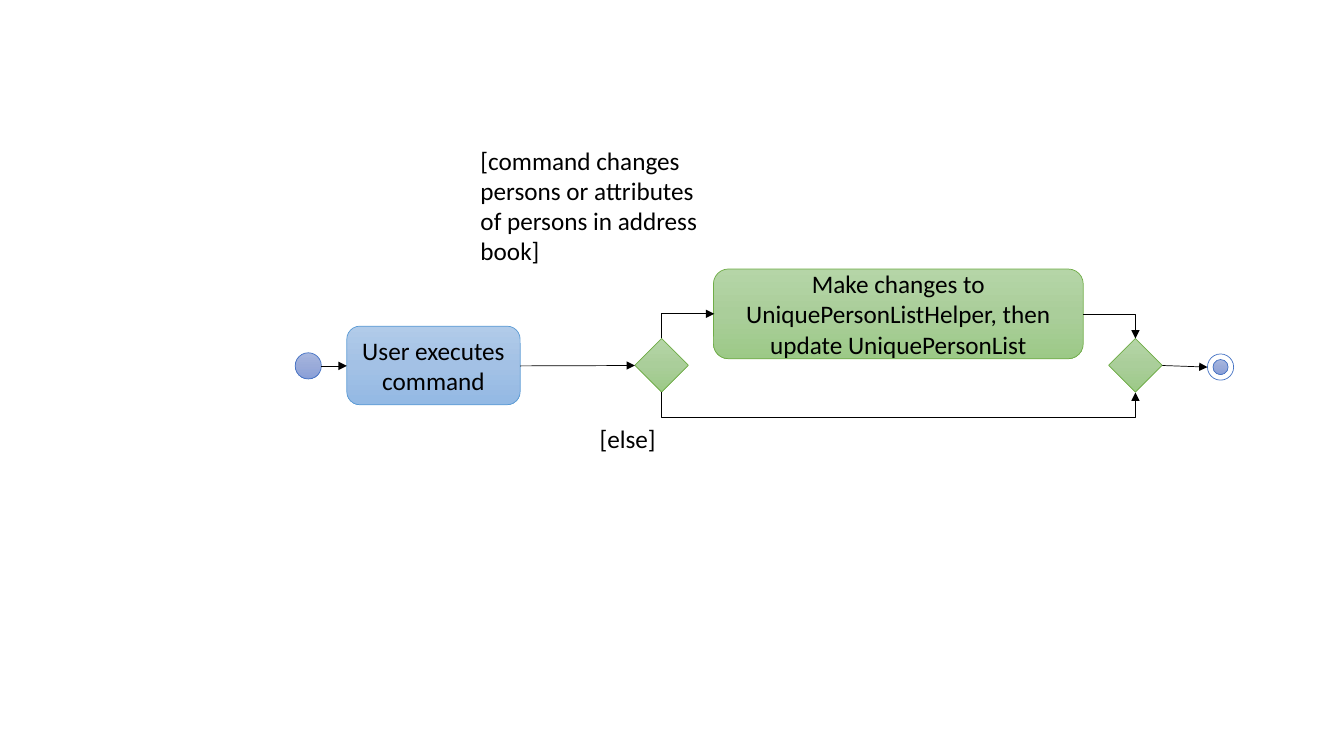
from copy import deepcopy
from dataclasses import dataclass
from typing import Any, NamedTuple, Optional

from lxml.etree import SubElement as Sub
from pptx import Presentation
from pptx.dml.color import RGBColor as RGB
from pptx.enum.shapes import MSO_CONNECTOR as Link, MSO_SHAPE as Form
from pptx.enum.text import MSO_ANCHOR as Anchor, MSO_AUTO_SIZE as Fit, PP_ALIGN as Align
from pptx.oxml.ns import qn
from pptx.util import Cm, Pt


# Colours and type sizes
@dataclass(frozen=True)
class Theme:
    font: str = "Calibri"
    size: float = 18
    line: float = 0.5
    ink: str = "000000"
    indigo: tuple = ("A8B7DF", "9AABD9", "889ED7")
    blue: tuple = ("B1CBE9", "A3C1E5", "93B9E4")
    green: tuple = ("B5D5A7", "AACE9A", "9CC987")
    white: tuple = ("FFFFFF",)
    edges: tuple = ("4472C4", "5B9BD5", "70AD47")


THEME = Theme()
INDIGO, BLUE, GREEN = THEME.edges


# Parts of the diagram, lengths in cm
class Node(NamedTuple):
    form: Any
    left: float
    top: float
    width: float
    height: float
    fill: tuple
    edge: str
    text: str = ""


class Label(NamedTuple):
    left: float
    top: float
    width: float
    height: float
    text: str


class Arrow(NamedTuple):
    start: tuple
    end: tuple
    bend: str = ""
    turned: bool = False
    drop: Optional[float] = None


MID, HIGH = 9.22, 7.91
DOT, CORE, GEM = 0.66, 0.38, 1.35
FORK, JOIN, STOP = 16.0, 27.94, 30.43
GEM_TOP = 8.53
GEM_END = GEM_TOP + GEM
FORK_X, JOIN_X = FORK + GEM / 2, JOIN + GEM / 2
STOP_Y = MID + 0.03
PAD = (DOT - CORE) / 2

NODES = [
    Node(Form.OVAL, 7.44, MID - DOT / 2, DOT, DOT, THEME.indigo, INDIGO),
    Node(Form.ROUNDED_RECTANGLE, 8.74, 8.22, 4.37, 1.98, THEME.blue, BLUE,
         "User executes command"),
    Node(Form.ROUNDED_RECTANGLE, 17.98, 6.78, 9.32, 2.26, THEME.green, GREEN,
         "Make changes to UniquePersonListHelper, then update UniquePersonList"),
    *(Node(Form.DIAMOND, x, GEM_TOP, GEM, GEM, THEME.green, GREEN) for x in (FORK, JOIN)),
]
RINGS = [
    Node(Form.OVAL, STOP, STOP_Y - DOT / 2, DOT, DOT, THEME.white, INDIGO),
    Node(Form.OVAL, STOP + PAD, STOP_Y - CORE / 2, CORE, CORE, THEME.indigo, INDIGO),
]
LABELS = [
    Label(14.86, 10.54, 2.36, 1.02, "[else]"),
    Label(11.86, 3.53, 5.99, 3.33,
          "[command changes persons or attributes of persons in address book]"),
]
# The lower route needs a sliver of height for its drop to scale
SLIVER = 0.01
ARROWS = [
    Arrow((8.1, MID), (8.74, MID)),
    Arrow((13.11, MID), (FORK, MID - 0.01)),
    Arrow((JOIN + GEM, MID - 0.01), (STOP, STOP_Y)),
    Arrow((FORK_X, GEM_TOP), (18.0, HIGH), "bentConnector2", True),
    Arrow((FORK_X, GEM_END), (JOIN_X, GEM_END + SLIVER), "bentConnector3", True, 0.64),
    Arrow((27.3, HIGH), (JOIN_X, GEM_TOP), "bentConnector2"),
]


# Drawing
def apply(target: Any, **values: Any) -> None:
    for name, value in values.items():
        setattr(target, name, value)


def write(shape: Any, text: str, align: Any, **frame: Any) -> None:
    apply(shape.text_frame, word_wrap=True, **frame)
    para = shape.text_frame.paragraphs[0]
    para.alignment = align
    run = para.add_run()
    run.text = text
    apply(run.font, name=THEME.font, size=Pt(THEME.size))
    run.font.color.rgb = RGB.from_string(THEME.ink)


def paint(shape: Any, tones: tuple) -> None:
    fill = shape.fill
    if len(tones) == 1:
        fill.solid()
        fill.fore_color.rgb = RGB.from_string(tones[0])
        return
    fill.gradient()
    fill.gradient_angle = 270
    first = shape.element.xpath("./p:spPr/a:gradFill/a:gsLst/a:gs")[0]
    first.addnext(deepcopy(first))
    for i, (stop, tone) in enumerate(zip(fill.gradient_stops, tones)):
        stop.position = i / (len(tones) - 1)
        stop.color.rgb = RGB.from_string(tone)


def stroke(line: Any, tone: str) -> None:
    line.width = Pt(THEME.line)
    line.color.rgb = RGB.from_string(tone)


def draw_node(shapes: Any, node: Node) -> None:
    shape = shapes.add_shape(node.form, *map(Cm, node[1:5]))
    shape.shadow.inherit = False
    paint(shape, node.fill)
    stroke(shape.line, node.edge)
    if node.text:
        write(shape, node.text, Align.CENTER, vertical_anchor=Anchor.MIDDLE)


def draw_label(shapes: Any, label: Label) -> None:
    box = shapes.add_textbox(*map(Cm, label[:4]))
    write(box, label.text, Align.LEFT, auto_size=Fit.SHAPE_TO_FIT_TEXT)


def draw_arrow(shapes: Any, arrow: Arrow) -> None:
    (x1, y1), (x2, y2) = arrow.start, arrow.end
    if arrow.turned:
        # Swap the axes about the centre, so a quarter turn restores both ends
        mx, my, dx, dy = (x1 + x2) / 2, (y1 + y2) / 2, (x2 - x1) / 2, (y2 - y1) / 2
        x1, y1, x2, y2 = mx - dy, my + dx, mx + dy, my - dx
    kind = Link.ELBOW if arrow.bend else Link.STRAIGHT
    link = shapes.add_connector(kind, *map(Cm, (x1, y1, x2, y2)))
    stroke(link.line, THEME.ink)
    props = link.element.spPr
    Sub(props.find(qn("a:ln")), qn("a:tailEnd"), type="triangle")
    Sub(props, qn("a:effectLst"))
    if arrow.turned:
        props.find(qn("a:xfrm")).set("rot", "5400000")
    if arrow.bend:
        geom = props.find(qn("a:prstGeom"))
        geom.set("prst", arrow.bend)
        if arrow.drop:
            ratio = round(arrow.drop / SLIVER * 100000)
            Sub(geom.find(qn("a:avLst")), qn("a:gd"), name="adj1", fmla=f"val {ratio}")


def main() -> None:
    deck = Presentation()
    apply(deck, slide_width=Cm(33.87), slide_height=Cm(19.05))
    shapes = deck.slides.add_slide(deck.slide_layouts[6]).shapes
    for node in NODES:
        draw_node(shapes, node)
    for label in LABELS:
        draw_label(shapes, label)
    group = shapes.add_group_shape()
    for ring in RINGS:
        draw_node(group.shapes, ring)
    for arrow in ARROWS:
        draw_arrow(shapes, arrow)
    deck.save("out.pptx")


if __name__ == "__main__":
    main()
